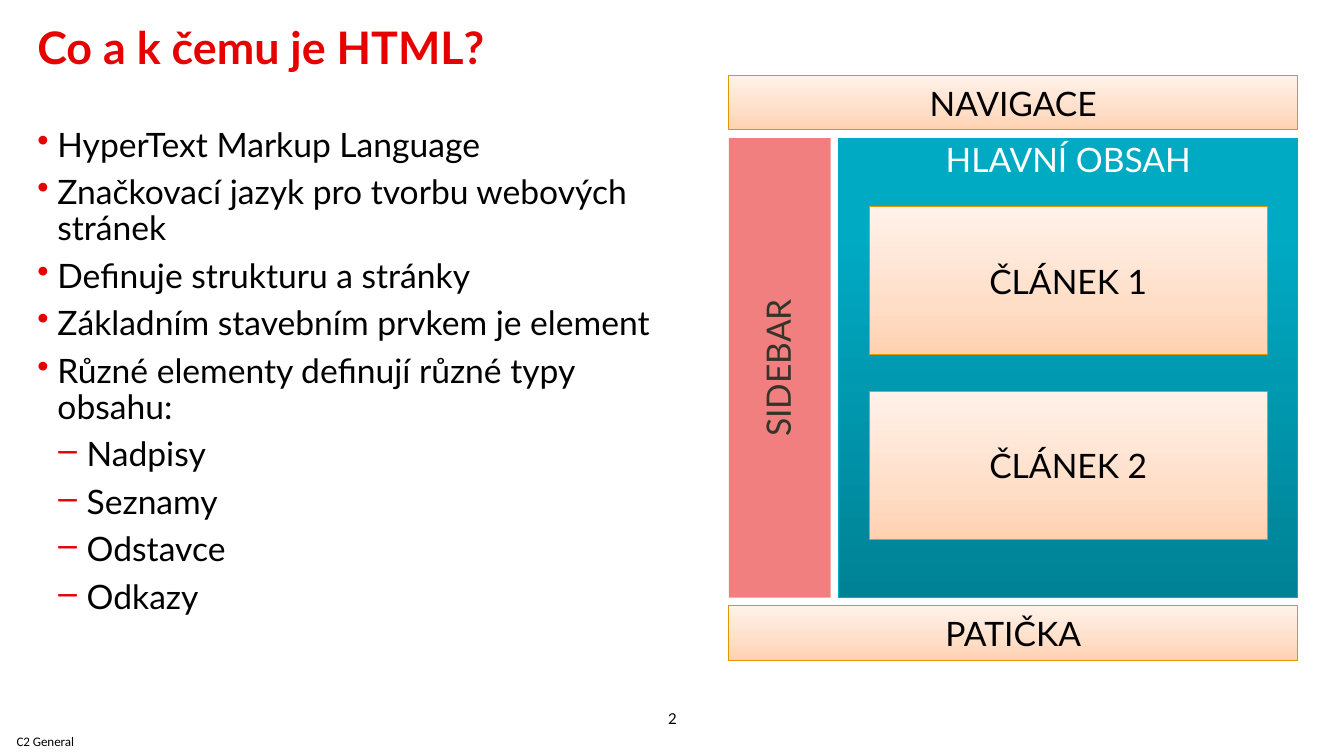
import pptx
import pptx.util
import pptx.dml.color
import pptx.enum.shapes
import pptx.enum.text
import pptx.oxml
import pptx.oxml.ns

Inches, Pt = pptx.util.Inches, pptx.util.Pt
RGB = pptx.dml.color.RGBColor.from_string
PP = pptx.enum.text.PP_ALIGN
MSO = pptx.enum.text.MSO_ANCHOR
NS = pptx.oxml.ns.nsdecls("a")


class Theme:
    font, small_font = "Lato", "Calibri"
    red, black, white, dark = "E60000", "000000", "FFFFFF", "34342B"
    peach_line, teal_line = "E69400", "00ACC5"
    peach = [(0, "FFD1B0"), (35, "FFDEC8"), (100, "FFF2EA")]
    teal = [(0, "008295"), (80, "00AAC3"), (100, "00ABC4")]
    title, body, number, label = 32, 24, 10.7, 9.3


def write(sp, lines, size, color, align=PP.LEFT, anchor=MSO.TOP, inset=0, font=Theme.font, wrap=True):
    """Fill a shape with paragraphs in one style and return its text frame."""
    tf = sp.text_frame
    tf.text = "\n".join(lines)
    tf.auto_size = pptx.enum.text.MSO_AUTO_SIZE.NONE
    tf.word_wrap, tf.vertical_anchor = wrap, anchor
    tf.margin_left = tf.margin_right = tf.margin_top = tf.margin_bottom = Inches(inset)
    for p in tf.paragraphs:
        p.alignment = align
        for r in p.runs:
            r.font.size, r.font.name = Pt(size), font
            r.font.color.rgb = RGB(color)
    return tf


def block(text, x, y, w, h, stops, line=None, color=Theme.black, anchor=MSO.MIDDLE):
    """Draw one labelled page region, shaded from bottom to top."""
    sp = slide.shapes.add_shape(pptx.enum.shapes.MSO_SHAPE.RECTANGLE, Inches(x), Inches(y), Inches(w), Inches(h))
    sp.shadow.inherit = False
    if stops:
        gs = "".join(f'<a:gs pos="{pos * 1000}"><a:srgbClr val="{c}"/></a:gs>' for pos, c in stops)
        grad = pptx.oxml.parse_xml(
            f'<a:gradFill {NS} rotWithShape="1"><a:gsLst>{gs}</a:gsLst><a:lin ang="16200000" scaled="0"/></a:gradFill>')
        sp._element.spPr.find(pptx.oxml.ns.qn("a:prstGeom")).addnext(grad)
    if line:
        sp.line.color.rgb, sp.line.width = RGB(line), Pt(0.75)
    else:
        sp.line.fill.background()
    write(sp, [text], Theme.body, color, PP.CENTER, anchor, 0.01)
    return sp


prs = pptx.Presentation()
prs.slide_width, prs.slide_height = Inches(13.33), Inches(7.5)
slide = prs.slides.add_slide(prs.slide_layouts[5])
margin = 0.37

# Title
title = slide.shapes.title
title.left, title.top, title.width, title.height = [Inches(v) for v in (margin, 0.3, 12.59, 0.97)]
p = write(title, ["Co a k čemu je HTML?"], Theme.title, Theme.red).paragraphs[0]
p.line_spacing = 0.8
p.runs[0].font.bold = True

# Bulleted list: (level, text)
items = [
    (0, "HyperText Markup Language"),
    (0, "Značkovací jazyk pro tvorbu webových stránek"),
    (0, "Definuje strukturu a stránky"),
    (0, "Základním stavebním prvkem je element"),
    (0, "Různé elementy definují různé typy obsahu:"),
    (1, "Nadpisy"),
    (1, "Seznamy"),
    (1, "Odstavce"),
    (1, "Odkazy"),
]
bullets = [("•", 0.2, 0.2), ("–", 0.49, 0.28)]  # sign, indent, hanging
body = slide.shapes.add_textbox(Inches(margin), Inches(1.27), Inches(6.14), Inches(5.25))
tf = write(body, [text for _, text in items], Theme.body, Theme.black)
for i, (p, (level, _)) in enumerate(zip(tf.paragraphs, items)):
    sign, indent, hanging = bullets[level]
    p.level, p.line_spacing = level, 0.9
    p.space_before = Pt(8 if i else 0)
    pPr = p._p.get_or_add_pPr()
    pPr.set("marL", str(Inches(indent)))
    pPr.set("indent", str(-Inches(hanging)))
    for xml in (f'<a:buClr {NS}><a:srgbClr val="{Theme.red}"/></a:buClr>', f'<a:buChar {NS} char="{sign}"/>'):
        pPr.append(pptx.oxml.parse_xml(xml))

# Page layout diagram: bars above and below a sidebar and the main content
left, top, width, bar, gap = 7.23, 0.75, 5.64, 0.54, 0.08
side, main_h = 1.01, 4.56
main_x, main_y = left + side + gap, top + bar + gap
main_w = left + width - main_x
for text, y in (("NAVIGACE", top), ("PATIČKA", main_y + main_h + gap)):
    block(text, left, y, width, bar, Theme.peach, Theme.peach_line)

# Sidebar, turned a quarter to the left about its centre
sp = block("SIDEBAR", left + (side - main_h) / 2, main_y + (main_h - side) / 2, main_h, side, None, color=Theme.dark)
sp.rotation = 270
sp.fill.solid()
sp.fill.fore_color.rgb = RGB(Theme.red)
sp.fill._xPr.solidFill.srgbClr.append(pptx.oxml.parse_xml(f'<a:alpha {NS} val="50000"/>'))
sp.text_frame.paragraphs[0].line_spacing = 0.9

# Main content with its articles
block("HLAVNÍ OBSAH", main_x, main_y, main_w, main_h, Theme.teal, Theme.teal_line, Theme.white, MSO.TOP)
inset, article_h, pitch = 0.3, 1.47, 1.83
for i in range(2):
    block(f"ČLÁNEK {i + 1}", main_x + inset, main_y + 0.68 + i * pitch, main_w - 2 * inset, article_h,
          Theme.peach, Theme.peach_line)

# Page number and classification label
number = slide.shapes.add_textbox(Inches(6.63), Inches(7.04), Inches(0.08), Inches(0.18))
write(number, ["2"], Theme.number, Theme.black, PP.CENTER, MSO.BOTTOM, wrap=False)
label = slide.shapes.add_textbox(0, Inches(7.27), Inches(0.9), Inches(0.16))
write(label, ["C2 General"], Theme.label, Theme.black, PP.CENTER, MSO.MIDDLE, font=Theme.small_font)

prs.save("out.pptx")
